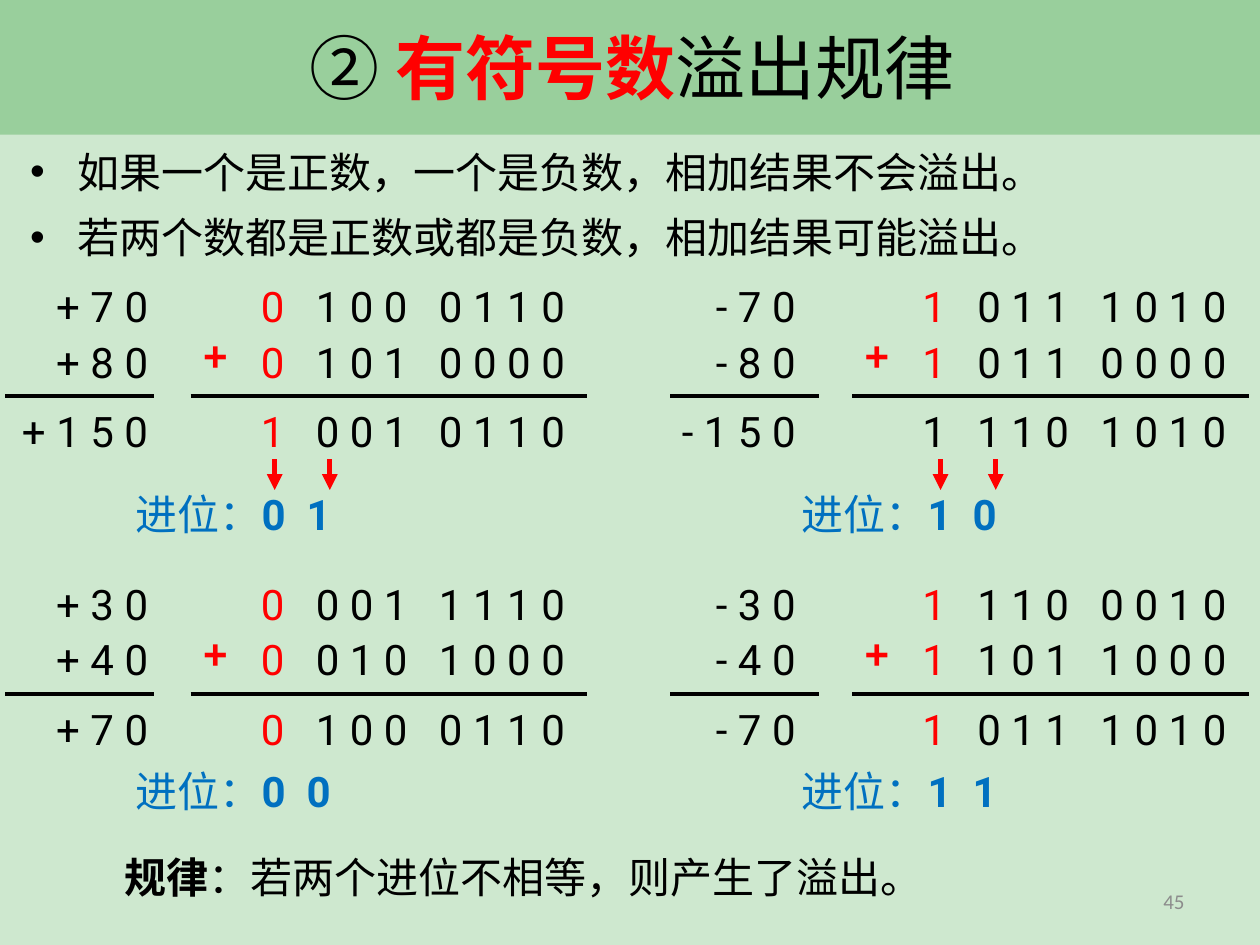
from lxml import etree
from pptx import Presentation
from pptx.dml.color import RGBColor
from pptx.enum.shapes import MSO_CONNECTOR, MSO_SHAPE
from pptx.enum.text import MSO_ANCHOR, MSO_AUTO_SIZE, PP_ALIGN
from pptx.oxml.ns import qn
from pptx.util import Pt

STRAIGHT = MSO_CONNECTOR.STRAIGHT
RECTANGLE = MSO_SHAPE.RECTANGLE
MIDDLE = MSO_ANCHOR.MIDDLE
NO_FIT = MSO_AUTO_SIZE.NONE
LEFT, CENTER, RIGHT = PP_ALIGN.LEFT, PP_ALIGN.CENTER, PP_ALIGN.RIGHT

COLORS = {
    "background": "CEE8CF",
    "band": "99CF9C",
    "text": "000000",
    "accent": "FF0000",
    "carry": "0070C0",
    "number": "8C8C8C",
}

COLUMNS = [
    {"decimal_line": 3, "decimal_right": 102, "binary_line": 109, "carry": 70.5},
    {"decimal_line": 383, "decimal_right": 470, "binary_line": 487, "carry": 451},
]
SIGN_WIDTHS = {"+": 77, "-": 68}
DIGIT_WIDTH = 19.5
ROW_TOPS = [157, 188.6, 228.2]
BLOCK_TOPS = [0, 170]
CARRY_TOPS = [275.5, 434]
ARROW_OFFSETS = [86.5, 118]

SUMS = [
    (0, 0, ["+70", "+80", "+150"], ["0 100 0110", "0 101 0000", "1 001 0110"], "0  1", True),
    (1, 0, ["-70", "-80", "-150"], ["1 011 1010", "1 011 0000", "1 110 1010"], "1  0", True),
    (0, 1, ["+30", "+40", "+70"], ["0 001 1110", "0 010 1000", "0 100 0110"], "0  0", False),
    (1, 1, ["-30", "-40", "-70"], ["1 110 0010", "1 101 1000", "1 011 1010"], "1  1", False),
]


class SlideBuilder:
    font = "Roboto"
    size = 24

    def __init__(self, slide):
        self.slide = slide
        fill = slide.background.fill
        fill.solid()
        fill.fore_color.rgb = RGBColor.from_string(COLORS["background"])

    def place(self, shape, left, top, width, height):
        shape.left, shape.top = Pt(left), Pt(top)
        shape.width, shape.height = Pt(width), Pt(height)

    def runs(self, paragraph, parts, font=None, size=None, spacing=None):
        for text, color, bold in parts:
            run = paragraph.add_run()
            run.text = text
            run.font.name = font or self.font
            run.font.size = Pt(size or self.size)
            run.font.bold = bold
            run.font.color.rgb = RGBColor.from_string(COLORS[color])
            if spacing:
                run.font._element.set("spc", str(spacing * 100))

    def band(self, width, height):
        shape = self.slide.shapes.add_shape(RECTANGLE, 0, 0, Pt(width), Pt(height))
        shape.shadow.inherit = False
        shape.fill.solid()
        shape.fill.fore_color.rgb = RGBColor.from_string(COLORS["band"])
        shape.line.fill.background()
        self.slide.shapes._spTree.insert(2, shape._element)

    def title(self, parts, box):
        shape = self.slide.shapes.title
        self.place(shape, *box)
        text_frame = shape.text_frame
        text_frame.auto_size = NO_FIT
        text_frame.vertical_anchor = MIDDLE
        text_frame.paragraphs[0].alignment = CENTER
        self.runs(text_frame.paragraphs[0], parts, font="Calibri", size=40)

    def bullets(self, lines, box):
        shape = self.slide.placeholders[1]
        self.place(shape, *box)
        text_frame = shape.text_frame
        text_frame.auto_size = NO_FIT
        text_frame.text = "\n".join(lines)
        for paragraph in text_frame.paragraphs:
            paragraph.line_spacing = 1.3
            paragraph.space_before = Pt(0)
            properties = paragraph._p.get_or_add_pPr()
            properties.set("marL", str(Pt(27)))
            properties.set("indent", str(Pt(-27)))
            etree.SubElement(properties, qn("a:buFont")).set("typeface", "Arial")
            etree.SubElement(properties, qn("a:buChar")).set("char", "•")
            font = paragraph.runs[0].font
            font.name, font.size = self.font, Pt(self.size)
            font.color.rgb = RGBColor.from_string(COLORS["text"])

    def text(self, parts, left, top, width, height=36, alignment=LEFT, anchor=None,
             wrap=False, **style):
        shape = self.slide.shapes.add_textbox(Pt(left), Pt(top), Pt(width), Pt(height))
        text_frame = shape.text_frame
        text_frame.word_wrap = wrap
        text_frame.vertical_anchor = anchor
        text_frame.paragraphs[0].alignment = alignment
        self.runs(text_frame.paragraphs[0], parts, **style)

    def line(self, start, end, color="text", weight=2.25, arrow=False):
        points = [Pt(value) for value in (*start, *end)]
        connector = self.slide.shapes.add_connector(STRAIGHT, *points)
        connector.line.width = Pt(weight)
        connector.line.color.rgb = RGBColor.from_string(COLORS[color])
        if arrow:
            outline = connector.line._get_or_add_ln()
            etree.SubElement(outline, qn("a:tailEnd")).set("type", "triangle")
        etree.SubElement(connector._element.spPr, qn("a:effectLst"))

    def addition(self, column_index, block, decimals, binaries, carries, overflow):
        column = COLUMNS[column_index]
        offset = BLOCK_TOPS[block]
        binary_left = column["binary_line"]
        for row_top, decimal, binary in zip(ROW_TOPS, decimals, binaries):
            top = row_top + offset
            width = SIGN_WIDTHS[decimal[0]] + DIGIT_WIDTH * (len(decimal) - 3)
            self.text([(decimal, "text", False)], column["decimal_right"] - width, top,
                      width, spacing=6)
            sign_color = "text" if binary == "1 110 1010" else "accent"
            self.text([(binary[0], sign_color, False), (binary[1:], "text", False)],
                      binary_left + 33, top, 196.5, spacing=6)
        line_top = 226.5 + offset
        for left, length in ((column["decimal_line"], 85), (binary_left, 226.5)):
            self.line((left, line_top), (left + length, line_top))
        self.text([("+", "accent", True)], binary_left, 185 + offset, 29, 41, font="Arial")
        self.text([("进位：", "carry", False), (carries, "carry", True)],
                  column["carry"], CARRY_TOPS[block], 132.5)
        if overflow:
            for arrow_offset in ARROW_OFFSETS:
                left = column["carry"] + arrow_offset
                self.line((left, 262.5), (left, 280), "accent", 3, arrow=True)


def main():
    presentation = Presentation()
    presentation.slide_width, presentation.slide_height = Pt(720), Pt(540)
    builder = SlideBuilder(presentation.slides.add_slide(presentation.slide_layouts[1]))
    builder.band(720, 77)
    builder.title([("② ", "text", False), ("有符号数", "accent", True),
                   ("溢出规律", "text", False)], (8.6, 7.2, 705.6, 61.2))
    builder.bullets(["如果一个是正数，一个是负数，相加结果不会溢出。",
                     "若两个数都是正数或都是负数，相加结果可能溢出。"], (10, 71.3, 710, 82.8))
    for addition in SUMS:
        builder.addition(*addition)
    builder.text([("规律", "text", True), ("：若两个进位不相等，则产生了溢出。", "text", False)],
                 64, 483, 475)
    builder.text([("45", "number", False)], 569.5, 500.4, 114.5, 28.8, alignment=RIGHT,
                 anchor=MIDDLE, wrap=True, font="Calibri", size=12)
    presentation.save("out.pptx")


if __name__ == "__main__":
    main()
